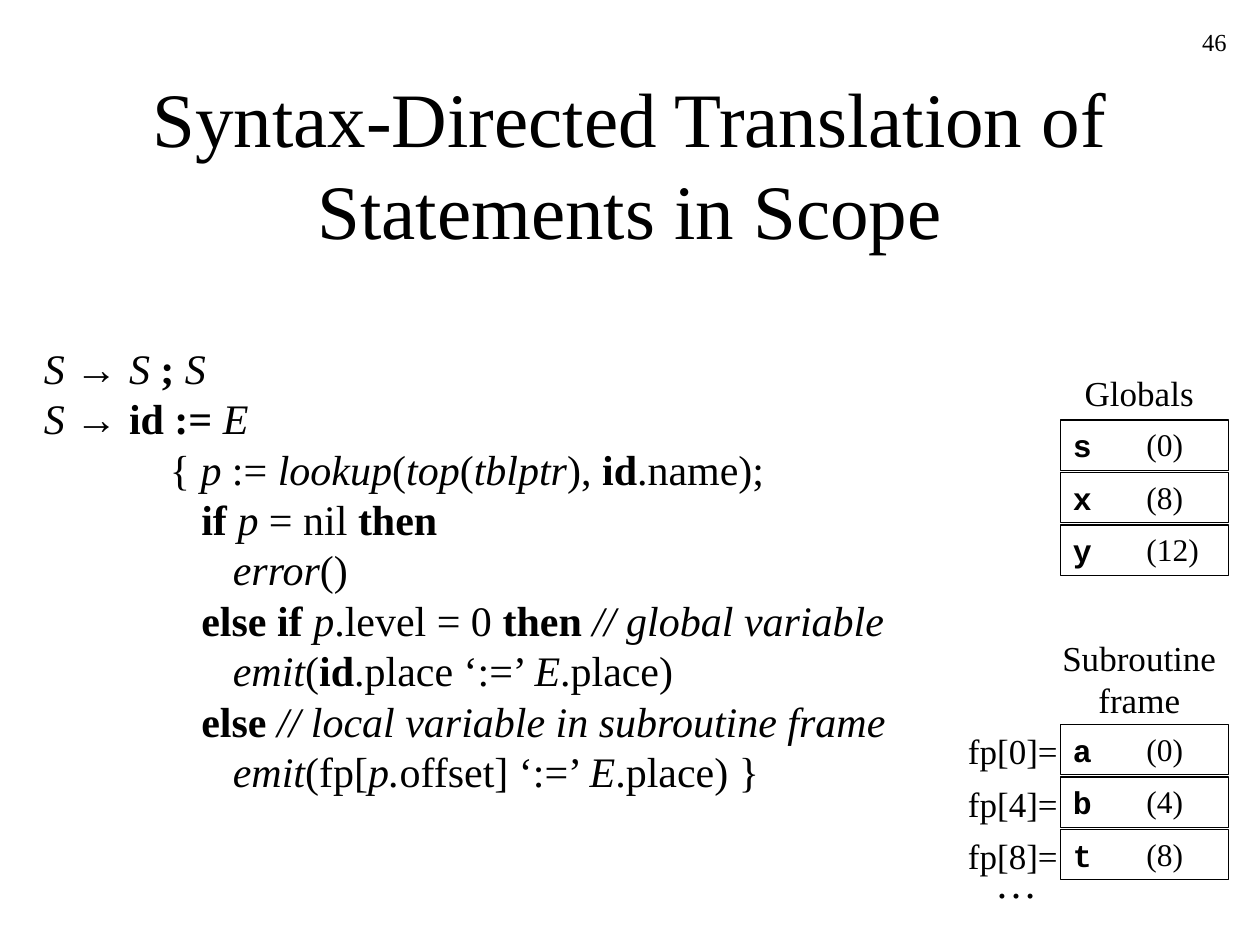
import pptx
import pptx.util
import pptx.dml.color
import pptx.enum.shapes
import pptx.enum.text

Pt = pptx.util.Pt
ALIGN = pptx.enum.text.PP_ALIGN
ANCHOR = pptx.enum.text.MSO_ANCHOR
FIT = pptx.enum.text.MSO_AUTO_SIZE
INK = "000000"
SERIF, MONO, SANS = "Times New Roman", "Courier New", "Arial"

TITLE = "Syntax-Directed Translation of Statements in Scope"
NUMBER = "46"

# Each line: left indent, then (style, text) runs; b bold, i italic, a arrow font
CODE = [
    (0, [("i", "S "), ("a", "→ "), ("i", "S"), ("b", " ; "), ("i", "S")]),
    (0, [("i", "S "), ("a", "→ "), ("b", "id := "), ("i", "E")]),
    (72, [("", "{ "), ("i", "p"), ("", " := "), ("i", "lookup"), ("", "("),
          ("i", "top"), ("", "("), ("i", "tblptr"), ("", "), "),
          ("b", "id"), ("", ".name);")]),
    (90, [("b", "if "), ("i", "p"), ("", " = nil "), ("b", "then")]),
    (108, [("i", "error"), ("", "()")]),
    (90, [("b", "else if "), ("i", "p"), ("", ".level = 0 "),
          ("b", "then "), ("i", "// global variable")]),
    (108, [("i", "emit"), ("", "("), ("b", "id"), ("", ".place ‘:=’ "),
           ("i", "E"), ("", ".place)")]),
    (90, [("b", "else "), ("i", "// local variable in subroutine frame")]),
    (108, [("i", "emit"), ("", "(fp["), ("i", "p."), ("", "offset] ‘:=’ "),
           ("i", "E"), ("", ".place) }")]),
]

# Each table: top of the first row, then (name, offset, label on the left)
TABLES = [
    (240, [("s", "(0)", ""), ("x", "(8)", ""), ("y", "(12)", "")]),
    (414, [("a", "(0)", "fp[0]="), ("b", "(4)", "fp[4]="),
           ("t", "(8)", "fp[8]=")]),
]
STEP, CELL_X, CELL_W, CELL_H = 30, 606, 96, 28.8

# Text, left, top, width, height, size, alignment
LABELS = [
    (["Globals"], 612.5, 208.8, 77, 31.5, 20, ALIGN.CENTER),
    (["Subroutine", "frame"], 599, 360, 104, 55.5, 20, ALIGN.CENTER),
    (["…"], 561.6, 486, 38.4, 36, 24, ALIGN.LEFT),
]


def color(code):
    return pptx.dml.color.RGBColor.from_string(code)


def add_run(para, text, size, style="", face=SERIF):
    run = para.add_run()
    run.text = text
    font = run.font
    font.name = SANS if "a" in style else face
    font.size = Pt(size)
    font.bold = "b" in style
    font.italic = "i" in style
    font.color.rgb = color(INK)


def fill_text(frame, lines, size, align=ALIGN.LEFT, face=SERIF):
    """Write lines of (indent, runs), one paragraph each."""
    for i, (indent, runs) in enumerate(lines):
        para = frame.paragraphs[0] if i == 0 else frame.add_paragraph()
        para.alignment = align
        if indent:
            props = para._p.get_or_add_pPr()
            props.set("marL", str(Pt(indent)))
            props.set("indent", "0")
        for style, text in runs:
            add_run(para, text, size, style, face)


def add_text(slide, lines, x, y, w, h, size, align=ALIGN.LEFT, grow=True):
    """Add a text box that grows with its text, or wraps at a fixed size."""
    box = slide.shapes.add_textbox(Pt(x), Pt(y), Pt(w), Pt(h))
    frame = box.text_frame
    frame.word_wrap = not grow
    frame.auto_size = FIT.SHAPE_TO_FIT_TEXT if grow else FIT.NONE
    fill_text(frame, lines, size, align)


def plain(text, style=""):
    return (0, [(style, text)])


def add_cell(slide, name, y):
    cell = slide.shapes.add_shape(
        pptx.enum.shapes.MSO_SHAPE.RECTANGLE,
        Pt(CELL_X), Pt(y), Pt(CELL_W), Pt(CELL_H))
    cell.shadow.inherit = False
    cell.fill.background()
    cell.line.color.rgb = color(INK)
    cell.line.width = Pt(0.75)
    cell.text_frame.vertical_anchor = ANCHOR.TOP
    fill_text(cell.text_frame, [plain(name, "b")], 18, face=MONO)


def set_title(slide):
    title = slide.shapes.title
    title.left, title.top = Pt(54), Pt(48)
    title.width, title.height = Pt(612), Pt(90)
    frame = title.text_frame
    frame.auto_size = FIT.NONE
    frame.vertical_anchor = ANCHOR.MIDDLE
    fill_text(frame, [plain(TITLE)], 44, ALIGN.CENTER)


def main():
    deck = pptx.Presentation()
    deck.slide_width, deck.slide_height = Pt(720), Pt(540)
    slide = deck.slides.add_slide(deck.slide_layouts[5])
    set_title(slide)
    add_text(slide, [plain(NUMBER)], 558, 12, 150, 36, 14, ALIGN.RIGHT, False)
    add_text(slide, CODE, 18, 192, 496, 295, 24)
    for top, rows in TABLES:
        for i, (name, offset, label) in enumerate(rows):
            y = top + i * STEP
            add_cell(slide, name, y)
            add_text(slide, [plain(offset)], 648, y - 0.5,
                     9 * len(offset) + 8.5, CELL_H, 18)
            if label:
                add_text(slide, [plain(label)], 546, y - 0.5, 65.5, 31.5, 20)
    for lines, *place in LABELS:
        add_text(slide, [plain(line) for line in lines], *place)
    deck.save("out.pptx")


if __name__ == "__main__":
    main()
